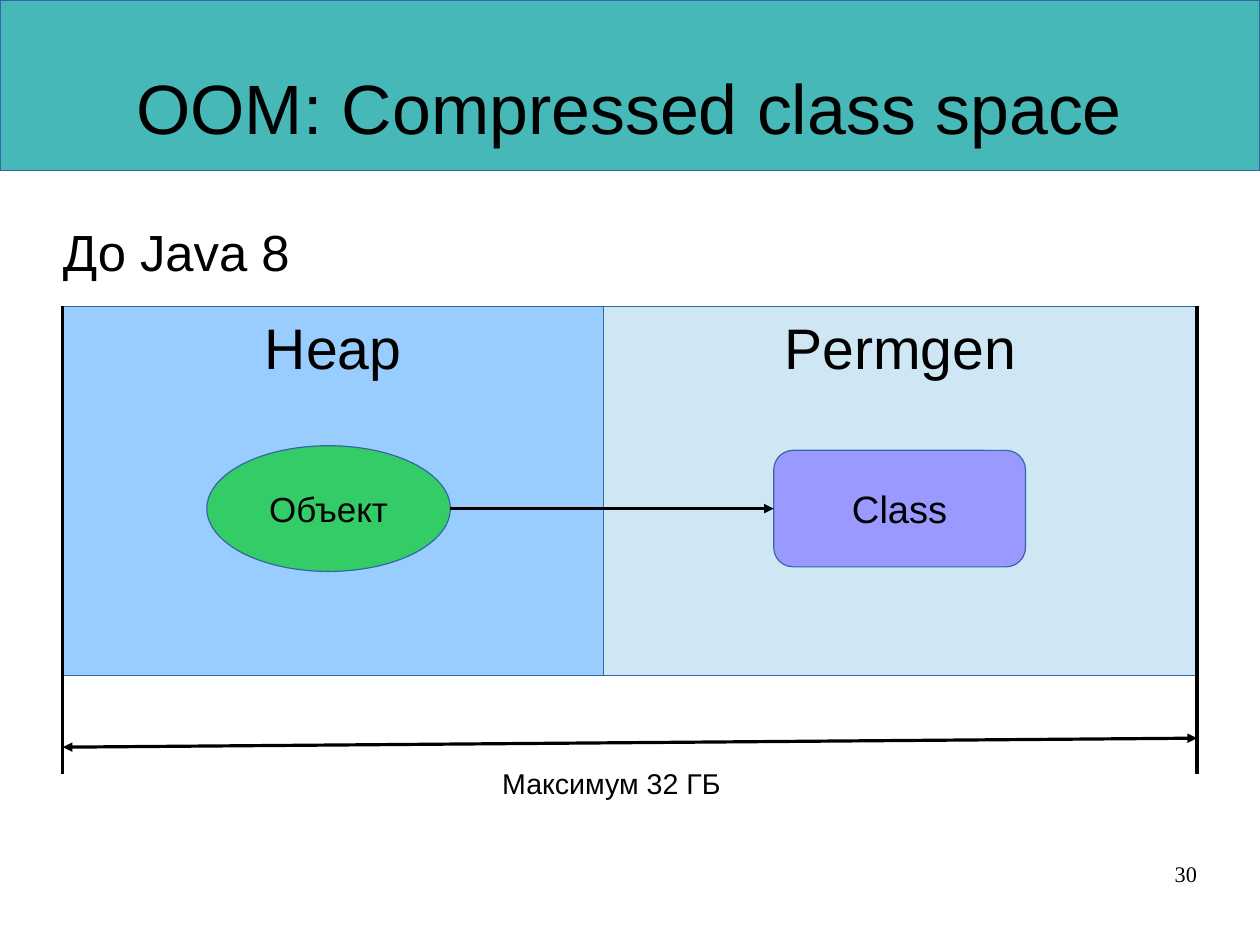
from dataclasses import dataclass
from typing import Optional

from lxml import etree
from pptx import Presentation
from pptx.dml.color import RGBColor
from pptx.enum import shapes, text
from pptx.oxml import ns
from pptx.util import Pt

SHAPE = shapes.MSO_SHAPE
ALIGN = text.PP_ALIGN
ANCHOR = text.MSO_ANCHOR


@dataclass(frozen=True)
class Theme:
    ink: str = "000000"
    outline: str = "3465A4"
    banner: str = "47B8B8"
    heap: str = "99CCFF"
    permgen: str = "CFE7F5"
    instance: str = "33CC66"
    klass: str = "9999FF"
    sans: str = "Arial"
    serif: str = "Times New Roman"
    title_size: float = 44
    region_size: float = 36
    body_size: float = 32
    class_size: float = 24
    instance_size: float = 22
    label_size: float = 18
    number_size: float = 14


@dataclass(frozen=True)
class Box:
    left: float
    top: float
    width: float
    height: float

    @property
    def right(self) -> float:
        return self.left + self.width

    @property
    def middle(self) -> float:
        return self.top + self.height / 2


@dataclass(frozen=True)
class Label:
    wording: str
    size: float
    align: ALIGN = ALIGN.CENTER
    anchor: ANCHOR = ANCHOR.TOP
    font: str = Theme.sans
    wrap: bool = False
    margins: tuple[float, float] = (7.2, 3.6)


@dataclass(frozen=True)
class Block:
    box: Box
    fill: str
    kind: SHAPE = SHAPE.RECTANGLE
    label: Optional[Label] = None


@dataclass(frozen=True)
class Line:
    start: tuple[float, float]
    end: tuple[float, float]
    heads: tuple[str, ...] = ()


THEME = Theme()
WIDTH, HEIGHT = 793.7, 595.3
LEFT, RIGHT, BORDER = 39.6, 754, 380
MEMORY_TOP, MEMORY_HEIGHT = 193, 232.6
GUIDE_BOTTOM = 487.4
NO_MARGINS = (0, 0)

HEAP = Box(LEFT, MEMORY_TOP, BORDER - LEFT, MEMORY_HEIGHT)
PERMGEN = Box(BORDER, MEMORY_TOP, RIGHT - BORDER, MEMORY_HEIGHT)
INSTANCE = Box(130.3, 280.8, 153.4, 79.2)
KLASS = Box(487.4, 283.7, 158.6, 73.4)

BLOCKS = [
    Block(Box(0, 0, WIDTH, 107.5), THEME.banner),
    Block(HEAP, THEME.heap, label=Label("Heap", THEME.region_size)),
    Block(INSTANCE, THEME.instance, SHAPE.OVAL,
          Label("Объект", THEME.instance_size, anchor=ANCHOR.MIDDLE)),
    Block(PERMGEN, THEME.permgen, label=Label("Permgen", THEME.region_size)),
    Block(KLASS, THEME.klass, SHAPE.ROUNDED_RECTANGLE,
          Label("Class", THEME.class_size, anchor=ANCHOR.MIDDLE)),
]
LINES = [
    Line((INSTANCE.right, INSTANCE.middle), (KLASS.left, INSTANCE.middle), ("tailEnd",)),
    *(Line((edge, MEMORY_TOP), (edge, GUIDE_BOTTOM)) for edge in (LEFT, RIGHT)),
    Line((LEFT, 470.7), (RIGHT, 465), ("headEnd", "tailEnd")),
]
TEXTS = [
    (Box(LEFT, 17.3, RIGHT - LEFT, 99.4),
     Label("OOM: Compressed class space", THEME.title_size, anchor=ANCHOR.MIDDLE,
           wrap=True, margins=NO_MARGINS)),
    (Box(LEFT, 139, RIGHT - LEFT, 376.6),
     Label("До Java 8", THEME.body_size, ALIGN.LEFT, wrap=True, margins=NO_MARGINS)),
    (Box(215.3, 470.9, 339.8, 45.4),
     Label("Максимум 32 ГБ", THEME.label_size, anchor=ANCHOR.MIDDLE)),
    (Box(568.9, 542.2, 185.1, 41),
     Label("30", THEME.number_size, ALIGN.RIGHT, font=THEME.serif,
           wrap=True, margins=NO_MARGINS)),
]


def frame(box: Box) -> tuple[Pt, ...]:
    return Pt(box.left), Pt(box.top), Pt(box.width), Pt(box.height)


def write_label(shape, label: Label) -> None:
    text_frame = shape.text_frame
    text_frame.text = label.wording
    text_frame.word_wrap = label.wrap
    text_frame.vertical_anchor = label.anchor
    horizontal, vertical = map(Pt, label.margins)
    text_frame.margin_left = text_frame.margin_right = horizontal
    text_frame.margin_top = text_frame.margin_bottom = vertical
    paragraph = text_frame.paragraphs[0]
    paragraph.alignment = label.align
    font = paragraph.runs[0].font
    font.name = label.font
    font.size = Pt(label.size)
    font.color.rgb = RGBColor.from_string(THEME.ink)


def set_hairline(line, color: str) -> None:
    line.color.rgb = RGBColor.from_string(color)
    line.width = Pt(0)


def draw_block(slide, block: Block) -> None:
    shape = slide.shapes.add_shape(block.kind, *frame(block.box))
    shape.shadow.inherit = False
    shape.fill.solid()
    shape.fill.fore_color.rgb = RGBColor.from_string(block.fill)
    set_hairline(shape.line, THEME.outline)
    if block.label:
        write_label(shape, block.label)


def draw_line(slide, line: Line) -> None:
    connector = slide.shapes.add_connector(
        shapes.MSO_CONNECTOR.STRAIGHT, *map(Pt, line.start + line.end))
    set_hairline(connector.line, THEME.ink)
    properties = connector._element.spPr
    outline = properties.find(ns.qn("a:ln"))
    for head in line.heads:
        etree.SubElement(outline, ns.qn(f"a:{head}"), type="triangle")
    etree.SubElement(properties, ns.qn("a:effectLst"))


def draw_text(slide, box: Box, label: Label) -> None:
    write_label(slide.shapes.add_textbox(*frame(box)), label)


def main() -> None:
    presentation = Presentation()
    presentation.slide_width, presentation.slide_height = Pt(WIDTH), Pt(HEIGHT)
    slide = presentation.slides.add_slide(presentation.slide_layouts[6])
    for block in BLOCKS:
        draw_block(slide, block)
    for line in LINES:
        draw_line(slide, line)
    for box, label in TEXTS:
        draw_text(slide, box, label)
    presentation.save("out.pptx")


if __name__ == "__main__":
    main()
